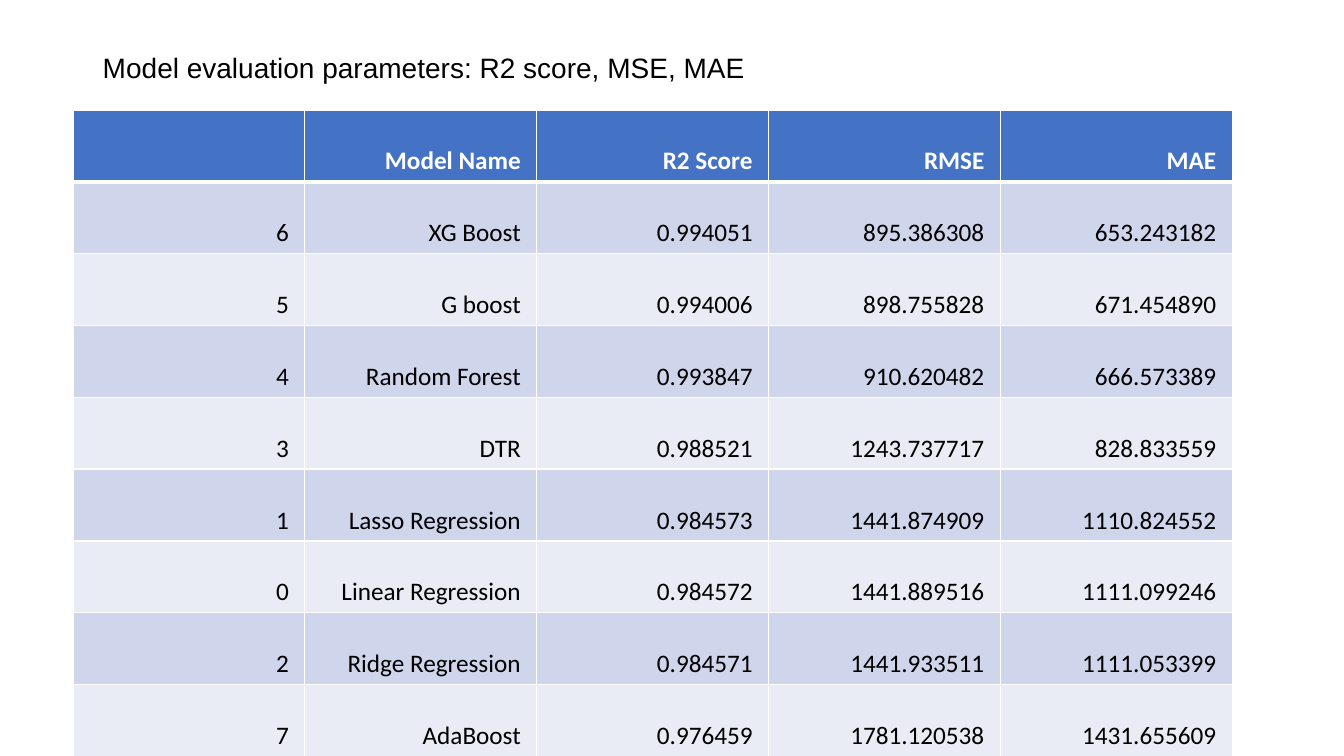
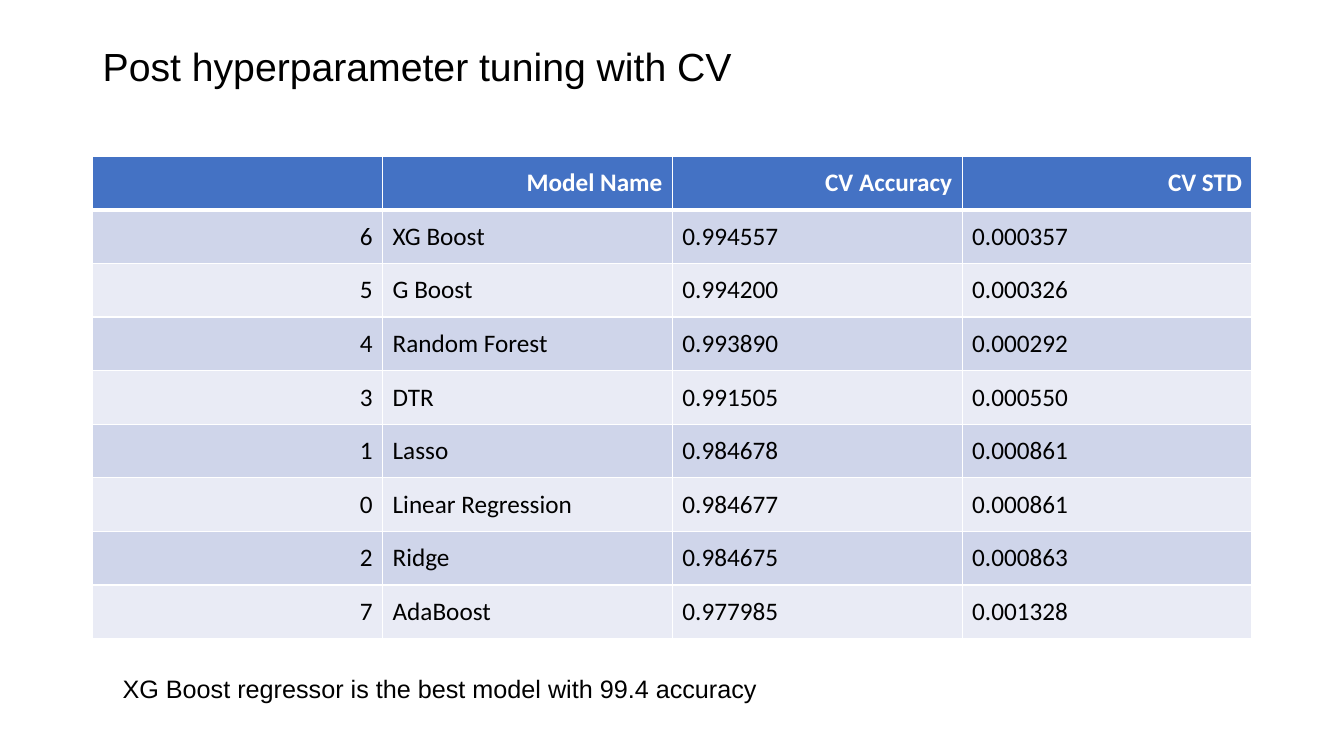
from pptx import Presentation
from pptx.dml.color import RGBColor
from pptx.enum.text import MSO_ANCHOR, PP_ALIGN
from pptx.oxml.ns import qn
from pptx.util import Cm, Pt
from lxml.etree import SubElement

BLACK, WHITE = "000000", "FFFFFF"
HEADER, BANDS = "4472C4", ("CFD5EA", "E9EBF5")
LEFT, WIDTH = 2.34, 29.21  # cm

EVALUATION = [
    ("", "Model Name", "R2 Score", "RMSE", "MAE"),
    ("6", "XG Boost", "0.994051", "895.386308", "653.243182"),
    ("5", "G boost", "0.994006", "898.755828", "671.454890"),
    ("4", "Random Forest", "0.993847", "910.620482", "666.573389"),
    ("3", "DTR", "0.988521", "1243.737717", "828.833559"),
    ("1", "Lasso Regression", "0.984573", "1441.874909", "1110.824552"),
    ("0", "Linear Regression", "0.984572", "1441.889516", "1111.099246"),
    ("2", "Ridge Regression", "0.984571", "1441.933511", "1111.053399"),
    ("7", "AdaBoost", "0.976459", "1781.120538", "1431.655609"),
]
TUNING = [
    ("", "Model Name", "CV Accuracy", "CV STD"),
    ("6", "XG Boost", "0.994557", "0.000357"),
    ("5", "G Boost", "0.994200", "0.000326"),
    ("4", "Random Forest", "0.993890", "0.000292"),
    ("3", "DTR", "0.991505", "0.000550"),
    ("1", "Lasso", "0.984678", "0.000861"),
    ("0", "Linear Regression", "0.984677", "0.000861"),
    ("2", "Ridge", "0.984675", "0.000863"),
    ("7", "AdaBoost", "0.977985", "0.001328"),
]
SLIDES = [
    {"title": "Model evaluation parameters: R2 score, MSE, MAE", "title_size": 20,
     "rows": EVALUATION, "left": 1.84, "top": 2.77, "row_height": 1.81,
     "anchor": MSO_ANCHOR.BOTTOM, "margin_right": 0.4, "body_align": PP_ALIGN.RIGHT},
    {"title": "Post hyperparameter tuning with CV", "title_size": 28,
     "rows": TUNING, "left": LEFT, "top": 3.94, "row_height": 1.35,
     "anchor": MSO_ANCHOR.MIDDLE, "margin_right": 0.25, "body_align": PP_ALIGN.LEFT,
     "note": "XG Boost regressor is the best model with 99.4 accuracy"},
]


def rgb(value):
    return RGBColor.from_string(value)


def add_run(p, text, size, font, color=BLACK, bold=False):
    r = p.add_run()
    r.text = text
    r.font.size, r.font.name, r.font.bold = Pt(size), font, bold
    r.font.color.rgb = rgb(color)


def add_text(slide, text, left, top, width, height, size, anchor=MSO_ANCHOR.TOP):
    tf = slide.shapes.add_textbox(Cm(left), Cm(top), Cm(width), Cm(height)).text_frame
    tf.word_wrap = True
    tf.vertical_anchor = anchor
    add_run(tf.paragraphs[0], text, size, "Arial")
    return tf.paragraphs[0]


def add_title(slide, text, size):
    p = add_text(slide, text, LEFT, 1.02, WIDTH, 1.45, size, MSO_ANCHOR.MIDDLE)
    p.line_spacing = 0.9


def set_borders(cell, top=1, bottom=1):
    """Draw white cell borders, with widths in points; call before filling."""
    tcPr = cell._tc.get_or_add_tcPr()
    for tag, width in (("a:lnL", 1), ("a:lnR", 1), ("a:lnT", top), ("a:lnB", bottom)):
        ln = SubElement(tcPr, qn(tag), w=str(Pt(width)))
        SubElement(SubElement(ln, qn("a:solidFill")), qn("a:srgbClr"), val=WHITE)


def add_model_table(slide, item):
    rows = item["rows"]
    n_rows, n_cols = len(rows), len(rows[0])
    height = Cm(item["row_height"])
    table = slide.shapes.add_table(n_rows, n_cols, Cm(item["left"]), Cm(item["top"]),
                                   Cm(WIDTH), height * n_rows).table
    for col in table.columns:
        col.width = Cm(WIDTH / n_cols)
    for i, values in enumerate(rows):
        table.rows[i].height = height
        is_header = i == 0
        for j, value in enumerate(values):
            cell = table.cell(i, j)
            set_borders(cell, top=3 if i == 1 else 1, bottom=3 if is_header else 1)
            cell.fill.solid()
            cell.fill.fore_color.rgb = rgb(HEADER if is_header else BANDS[(i - 1) % 2])
            cell.vertical_anchor = item["anchor"]
            cell.margin_right = Cm(item["margin_right"])
            if value:
                p = cell.text_frame.paragraphs[0]
                p.alignment = PP_ALIGN.RIGHT if is_header or j == 0 else item["body_align"]
                add_run(p, value, 18, "Calibri", WHITE if is_header else BLACK, is_header)


def main():
    prs = Presentation()
    prs.slide_width, prs.slide_height = Cm(33.87), Cm(19.05)
    for item in SLIDES:
        slide = prs.slides.add_slide(prs.slide_layouts[6])
        add_title(slide, item["title"], item["title_size"])
        add_model_table(slide, item)
        if "note" in item:
            add_text(slide, item["note"], 2.84, 16.84, 29.62, 1.02, 18)
    prs.save("out.pptx")


if __name__ == "__main__":
    main()
